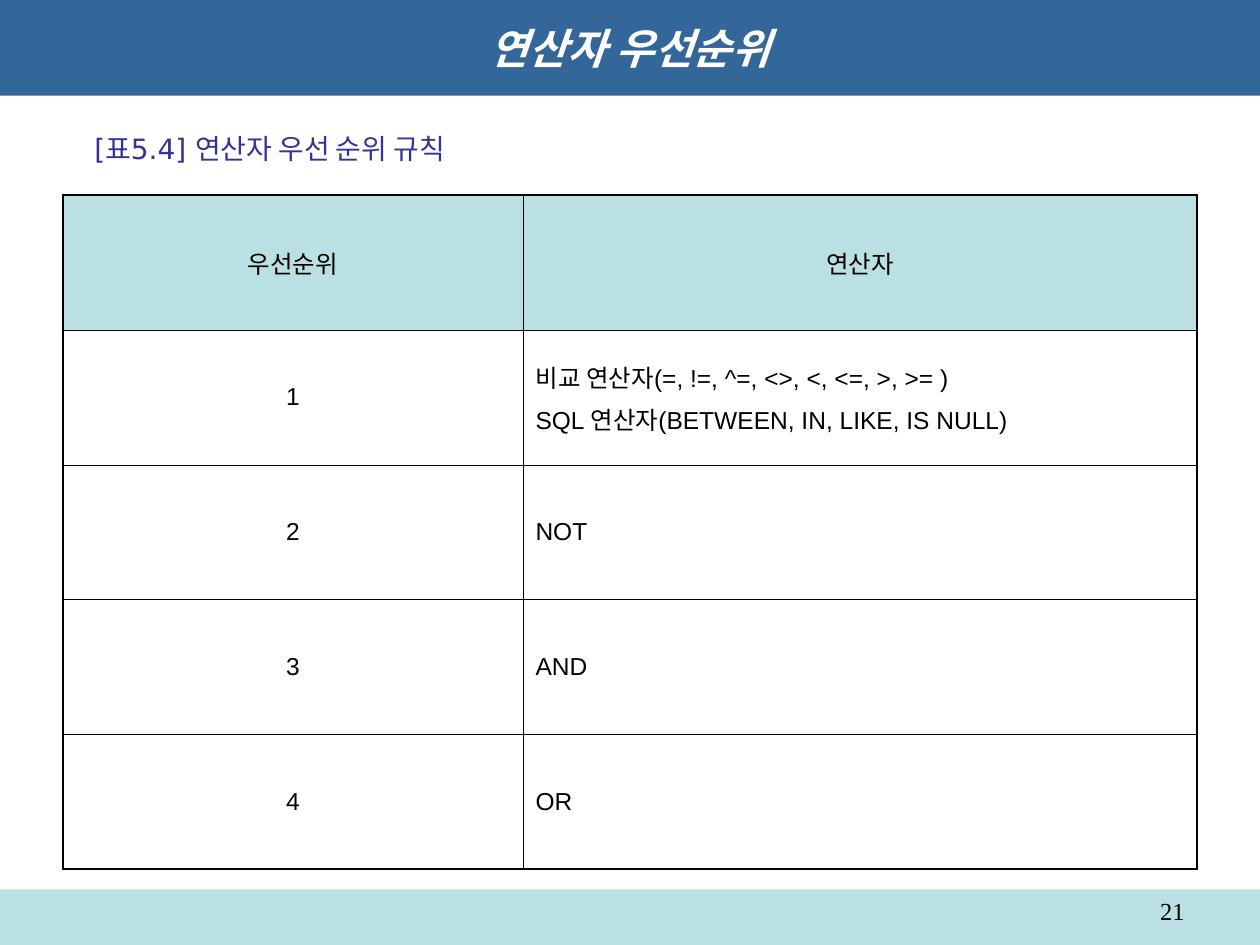
from lxml.etree import SubElement
from pptx import Presentation
from pptx.dml.color import RGBColor
from pptx.enum.shapes import MSO_SHAPE
from pptx.enum.text import MSO_ANCHOR, PP_ALIGN
from pptx.oxml.ns import qn
from pptx.util import Inches, Pt

TITLE = "연산자 우선순위"
CAPTION = "[표5.4] 연산자 우선 순위 규칙"
PAGE_NUMBER = "21"
PRECEDENCE = [
    ("우선순위", "연산자"),
    ("1", "비교 연산자(=, !=, ^=, <>, <, <=, >, >= )\nSQL 연산자(BETWEEN, IN, LIKE, IS NULL)"),
    ("2", "NOT"),
    ("3", "AND"),
    ("4", "OR"),
]
COLORS = {"band": "336699", "pale": "BBE0E3", "caption": "333399",
          "ink": "000000", "title": "FFFFFF"}
WIDTH, HEIGHT = 10, 7.5
MARGIN = 0.05 * WIDTH
COLUMNS = (3.65, 5.35)
ROW_HEIGHT = 1.07
TABLE_TOP = 1.55
FOOTER_TOP = 7.06
OUTER, INNER = 1.08, 0.45


def color(key):
    return RGBColor.from_string(COLORS[key])


def write(frame, text, font, size, ink, align, before=0):
    frame.text = text
    for paragraph in frame.paragraphs:
        paragraph.alignment = align
        paragraph.space_before = Pt(before)
        paragraph.font.name = font
        paragraph.font.size = Pt(size)
        paragraph.font.color.rgb = color(ink)


def add_band(slide, top, height, fill):
    band = slide.shapes.add_shape(
        MSO_SHAPE.RECTANGLE, 0, Inches(top), Inches(WIDTH), Inches(height))
    band.shadow.inherit = False
    band.fill.solid()
    band.fill.fore_color.rgb = color(fill)
    band.line.fill.background()
    return band


def add_label(slide, box, wrap, anchor, *style):
    label = slide.shapes.add_textbox(*map(Inches, box))
    label.text_frame.word_wrap = wrap
    label.text_frame.vertical_anchor = anchor
    write(label.text_frame, *style)


def set_borders(cell, widths):
    properties = cell._tc.get_or_add_tcPr()
    for position, (side, width) in enumerate(widths.items()):
        line = SubElement(properties, qn(f"a:{side}"), w=str(Pt(width)))
        fill = SubElement(line, qn("a:solidFill"))
        SubElement(fill, qn("a:srgbClr"), val=COLORS["ink"])
        properties.insert(position, line)


def add_precedence(slide):
    rows, columns = len(PRECEDENCE), len(COLUMNS)
    table = slide.shapes.add_table(
        rows, columns, Inches(MARGIN), Inches(TABLE_TOP),
        Inches(sum(COLUMNS)), Inches(rows * ROW_HEIGHT)).table
    table.first_row = table.horz_banding = False
    for column, width in zip(table.columns, COLUMNS):
        column.width = Inches(width)
    for r, entries in enumerate(PRECEDENCE):
        table.rows[r].height = Inches(ROW_HEIGHT)
        for c, text in enumerate(entries):
            cell = table.cell(r, c)
            cell.vertical_anchor = MSO_ANCHOR.MIDDLE
            align = PP_ALIGN.CENTER if r == 0 or c == 0 else PP_ALIGN.LEFT
            write(cell.text_frame, text, "Arial", 14, "ink", align, 3.5)
            if r == 0:
                cell.fill.solid()
                cell.fill.fore_color.rgb = color("pale")
            else:
                cell.fill.background()
            set_borders(cell, {
                "lnL": OUTER if c == 0 else INNER,
                "lnR": OUTER if c == columns - 1 else INNER,
                "lnT": OUTER if r == 0 else INNER,
                "lnB": OUTER if r == rows - 1 else INNER,
            })


def main():
    deck = Presentation()
    deck.slide_width, deck.slide_height = Inches(WIDTH), Inches(HEIGHT)
    slide = deck.slides.add_slide(deck.slide_layouts[6])

    add_band(slide, FOOTER_TOP, HEIGHT - FOOTER_TOP, "pale")
    heading = add_band(slide, 0, 0.76, "band").text_frame
    heading.vertical_anchor = MSO_ANCHOR.MIDDLE
    write(heading, TITLE, "DejaVu Sans", 24, "title", PP_ALIGN.CENTER)
    heading.paragraphs[0].font.bold = heading.paragraphs[0].font.italic = True

    add_precedence(slide)
    add_label(slide, (0.65, 0.99, 3.19, 0.37), False, MSO_ANCHOR.MIDDLE,
              CAPTION, "DejaVu Sans", 16, "caption", PP_ALIGN.LEFT)
    add_label(slide, (7.17, FOOTER_TOP, 2.33, 0.29), True, MSO_ANCHOR.TOP,
              PAGE_NUMBER, "Times New Roman", 14, "ink", PP_ALIGN.RIGHT)
    deck.save("out.pptx")


if __name__ == "__main__":
    main()
